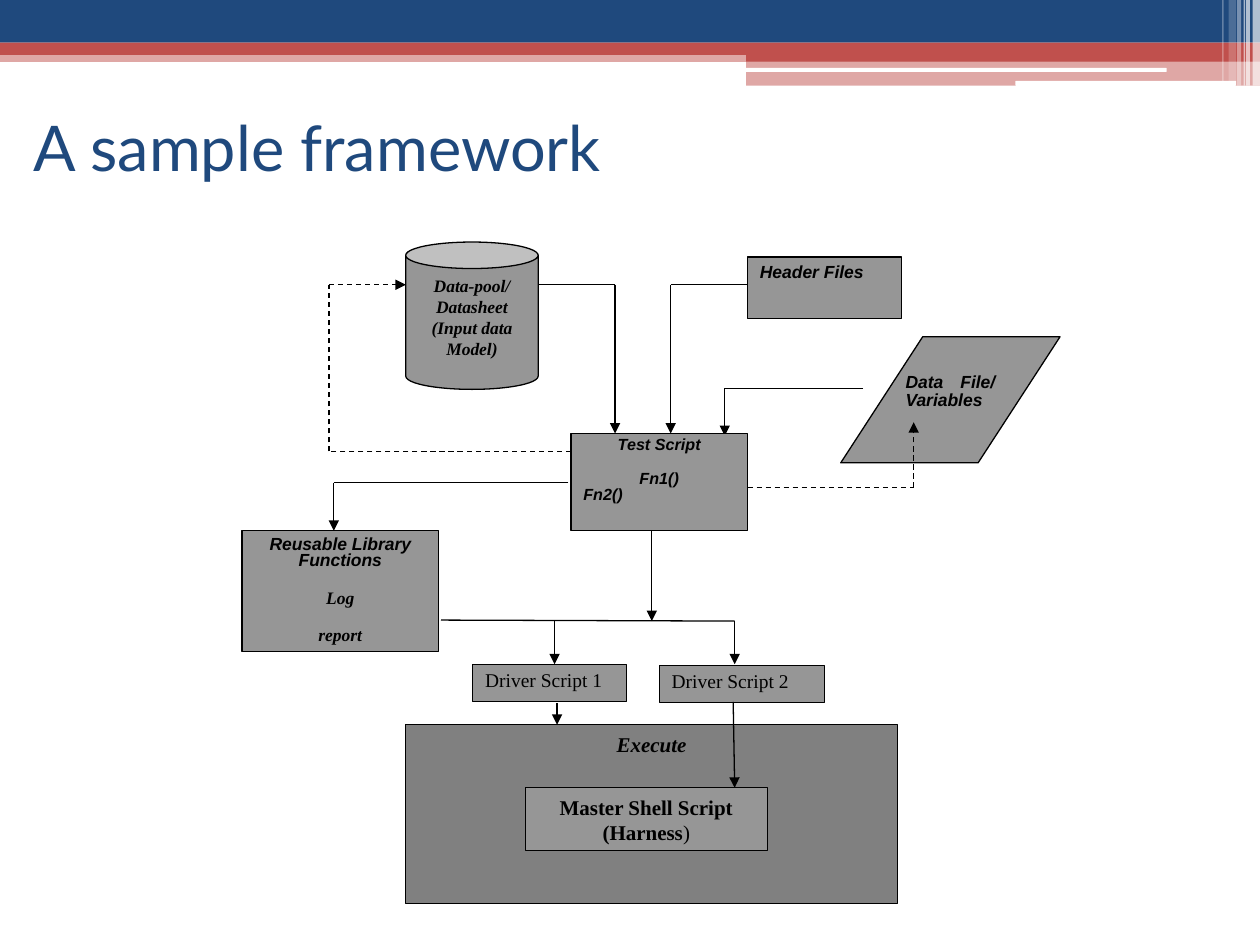
from itertools import pairwise

from lxml.etree import SubElement
from pptx import Presentation
from pptx.dml.color import RGBColor
from pptx.enum.dml import MSO_LINE
from pptx.enum.shapes import MSO_CONNECTOR, MSO_SHAPE
from pptx.enum.text import MSO_ANCHOR, PP_ALIGN
from pptx.oxml.ns import qn
from pptx.util import Cm, Pt

NAVY = RGBColor(0x1F, 0x49, 0x7D)
RED = RGBColor(0xC0, 0x50, 0x4D)
WHITE = RGBColor(0xFF, 0xFF, 0xFF)
BLACK = RGBColor(0, 0, 0)
GRAY = RGBColor(0x96, 0x96, 0x96)
DARK_GRAY = RGBColor(0x80, 0x80, 0x80)

SERIF = "Times New Roman"
SANS = "Arial"
LINE_WIDTH = Pt(0.75)


def write(paragraph, text, size=10, font=SERIF, color=BLACK, bold=False, italic=False,
          align=PP_ALIGN.CENTER, spacing=1, before=0, after=0):
    """Append a run to the paragraph and format both."""
    paragraph.alignment = align
    paragraph.line_spacing = spacing
    paragraph.space_before, paragraph.space_after = Pt(before), Pt(after)
    run = paragraph.add_run()
    run.text = text
    run.font.size, run.font.name = Pt(size), font
    run.font.bold, run.font.italic = bold, italic
    run.font.color.rgb = color


def add_shape(slide, kind, box, color, opacity=100):
    """Add a borderless filled shape; the box is in centimetres."""
    shape = slide.shapes.add_shape(kind, *map(Cm, box))
    shape.shadow.inherit = False
    shape.fill.solid()
    shape.fill.fore_color.rgb = color
    shape.line.fill.background()
    if opacity < 100:
        color_element = shape.fill._xPr.find(qn("a:solidFill"))[0]
        SubElement(color_element, qn("a:alpha"), val=str(opacity * 1000))
    return shape


def add_node(slide, origin, box, kind=MSO_SHAPE.RECTANGLE, color=GRAY):
    """Add an outlined diagram node and return its text frame."""
    left, top, width, height = box
    node = add_shape(slide, kind, (origin[0] + left, origin[1] + top, width, height), color)
    node.line.color.rgb = BLACK
    node.line.width = LINE_WIDTH
    if kind == MSO_SHAPE.PARALLELOGRAM:
        node.adjustments[0] = 0.65
    elif kind == MSO_SHAPE.CAN:
        node.adjustments[0] = 0.2
    frame = node.text_frame
    frame.word_wrap = True
    frame.vertical_anchor = MSO_ANCHOR.TOP
    frame.margin_left = frame.margin_right = Cm(0.25)
    frame.margin_top = frame.margin_bottom = Cm(0.13)
    return frame


def add_route(slide, origin, points, dashed=False):
    """Join the points with straight lines, ending in an arrowhead."""
    for start, end in pairwise(points):
        ends = [Cm(origin[axis] + point[axis]) for point in (start, end) for axis in (0, 1)]
        line = slide.shapes.add_connector(MSO_CONNECTOR.STRAIGHT, *ends)
        line.line.color.rgb = BLACK
        line.line.width = LINE_WIDTH
        if dashed:
            line.line.dash_style = MSO_LINE.DASH
        properties = line.line._get_or_add_ln()
        if end == points[-1]:
            SubElement(properties, qn("a:tailEnd"), type="triangle")
        SubElement(properties.getparent(), qn("a:effectLst"))


def build_banner(slide, box):
    left, top, width, _ = box
    right = left + width
    # Coloured bands: inset from the left, top, height, colour, opacity
    for inset, offset, height, color, opacity in (
            (0, 1.02, 0.23, RED, 50), (0, 0, 0.86, NAVY, 100), (0, 0.86, 0.25, RED, 100),
            (15.04, 0.99, 0.25, RED, 100), (15.04, 1.22, 0.51, RED, 50)):
        add_shape(slide, MSO_SHAPE.RECTANGLE,
                  (left + inset, top + offset, width - inset, height), color, opacity)
    # White bars
    for inset, offset, length, height in ((15.01, 1.37, 8.51, 0.08), (20.47, 1.63, 4.45, 0.1)):
        add_shape(slide, MSO_SHAPE.ROUNDED_RECTANGLE,
                  (left + inset, top + offset, length, height), WHITE)
    # Fading stripes: distance from the right, width, height, opacity
    for distance, thickness, height, opacity in (
            (0.15, 0.15, 1.73, 65), (0.28, 0.08, 1.73, 65), (0.33, 0.03, 1.73, 60),
            (0.46, 0.08, 1.73, 40), (0.63, 0.15, 1.63, 20), (0.76, 0.03, 1.63, 30)):
        add_shape(slide, MSO_SHAPE.RECTANGLE,
                  (right - distance, top, thickness, height), WHITE, opacity)


def build_title(slide, box):
    title = slide.shapes.title
    title.left, title.top, title.width, title.height = map(Cm, box)
    title.text_frame.vertical_anchor = MSO_ANCHOR.MIDDLE
    write(title.text_frame.paragraphs[0], "A sample framework", size=36, font="Lato",
          color=NAVY, align=PP_ALIGN.LEFT)


def build_inputs(slide, origin):
    pool = add_node(slide, origin, (3.3, 0, 2.67, 2.97), MSO_SHAPE.CAN)
    write(pool.paragraphs[0], "Data-pool/ Datasheet (Input data Model)", bold=True, italic=True)
    for text, kind, box in (
            ("Header Files", MSO_SHAPE.RECTANGLE, (10.19, 0.3, 3.1, 1.24)),
            ("Data File/ Variables", MSO_SHAPE.PARALLELOGRAM, (12.07, 1.91, 4.42, 2.54))):
        frame = add_node(slide, origin, box, kind)
        write(frame.paragraphs[0], text, font=SANS, bold=True, italic=True,
              align=PP_ALIGN.JUSTIFY, spacing=0.88, after=3)
    # Inputs read by the test script
    add_route(slide, origin, ((5.97, 0.86), (7.52, 0.86), (7.52, 3.86)))
    add_route(slide, origin, ((10.19, 0.86), (8.64, 0.86), (8.64, 3.86)))
    add_route(slide, origin, ((12.52, 2.95), (9.73, 2.95), (9.73, 3.91)))
    # Results written back
    add_route(slide, origin, ((6.63, 4.22), (1.75, 4.22), (1.75, 0.86), (3.3, 0.86)), dashed=True)
    add_route(slide, origin, ((10.19, 4.95), (13.54, 4.95), (13.54, 3.63)), dashed=True)


def build_scripts(slide, origin):
    emphasis = {"bold": True, "italic": True}
    # Test script
    script = add_node(slide, origin, (6.63, 0, 3.56, 1.96))
    style = {"size": 9.2, "font": SANS, **emphasis}
    write(script.paragraphs[0], "Test Script", spacing=0.68, after=3, **style)
    write(script.add_paragraph(), "Fn1()", spacing=0.68, before=9, **style)
    write(script.add_paragraph(), "Fn2()", spacing=0.85, align=PP_ALIGN.LEFT, **style)
    # Library
    library = add_node(slide, origin, (0, 1.96, 3.96, 2.44))
    write(library.paragraphs[0], "Reusable Library Functions", font=SANS,
          spacing=0.78, after=3, **emphasis)
    for text in ("Log", "report"):
        write(library.add_paragraph(), text, spacing=0.78, before=9, after=3, **emphasis)
    # Links to the library and the drivers
    add_route(slide, origin, ((6.58, 0.99), (1.85, 0.99), (1.85, 1.96)))
    add_route(slide, origin, ((4.01, 3.76), (9.93, 3.78), (9.93, 4.65)))
    add_route(slide, origin, ((6.3, 3.78), (6.3, 4.65)))
    add_route(slide, origin, ((8.26, 1.96), (8.26, 3.78)))


def build_execution(slide, origin):
    execute = add_node(slide, origin, (0, 1.22, 9.91, 3.61), color=DARK_GRAY)
    write(execute.paragraphs[0], "Execute", size=12, bold=True, italic=True)
    # Drivers
    for text, box in (("Driver Script 1", (1.35, 0, 3.1, 0.76)),
                      ("Driver Script 2", (5.11, 0.03, 3.33, 0.74))):
        driver = add_node(slide, origin, box)
        write(driver.paragraphs[0], text, size=11.1, align=PP_ALIGN.LEFT, spacing=0.9)
    # Harness
    harness = add_node(slide, origin, (2.41, 2.49, 4.88, 1.27)).paragraphs[0]
    write(harness, "Master Shell Script (Harness", size=12, bold=True)
    write(harness, ")", size=12)
    add_route(slide, origin, ((6.6, 0.76), (6.63, 2.49)))
    add_route(slide, origin, ((3.05, 0.79), (3.05, 1.22)))


def main():
    presentation = Presentation()
    presentation.slide_width, presentation.slide_height = Cm(25.4), Cm(19.05)
    slide = presentation.slides.add_slide(presentation.slide_layouts[5])
    build_banner(slide, (0, 0, 25.4, 1.73))
    build_title(slide, (0.43, 1.47, 22.86, 2.97))
    build_inputs(slide, (4.88, 4.88))
    build_scripts(slide, (4.88, 8.74))
    build_execution(slide, (8.18, 13.39))
    presentation.save("out.pptx")


if __name__ == "__main__":
    main()
